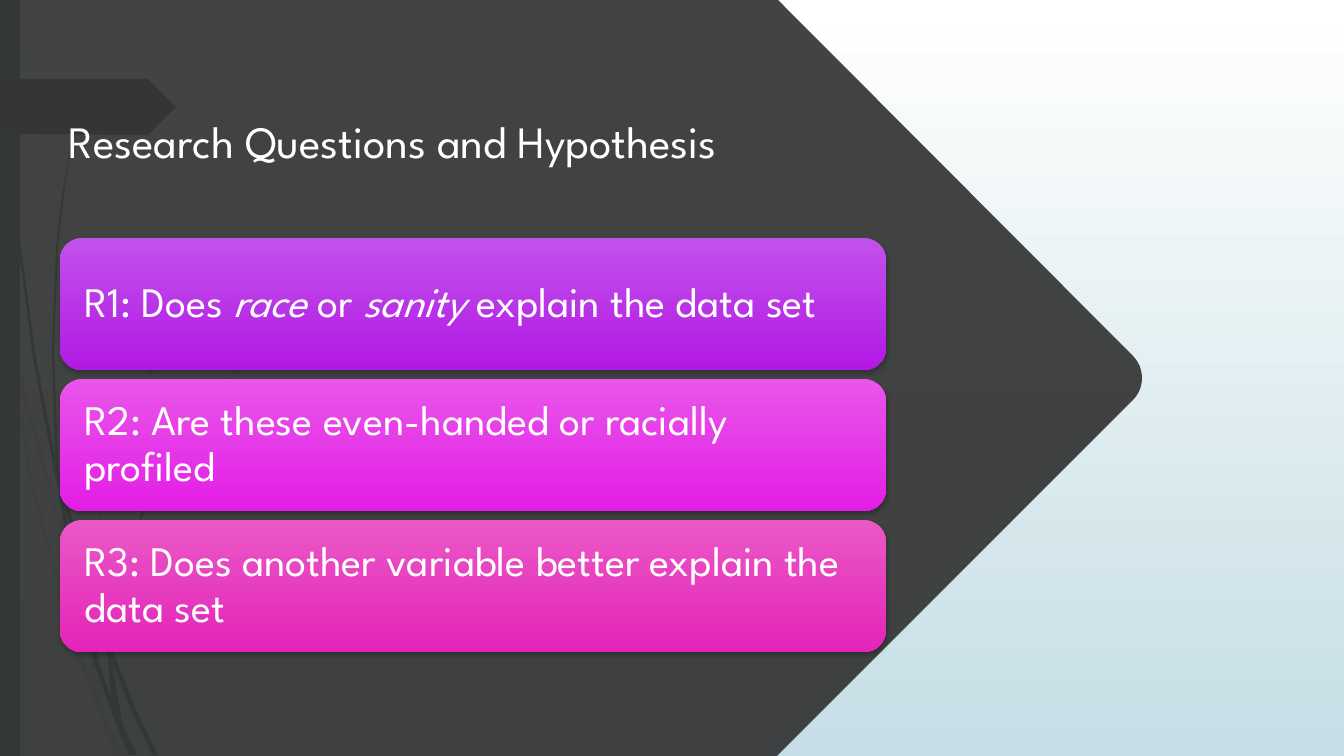
from pptx import Presentation
from pptx import util as u
from pptx.dml.color import RGBColor
from pptx.enum import shapes, text
from pptx.oxml import parse_xml
from pptx.oxml.ns import nsdecls, qn
from lxml import etree

PX = 914400 / 100.8
FONT = "League Spartan"
COLORS = {
    "white": "FFFFFF", "title": "FEFFFF", "mist": "C5DEE5",
    "stem": "2E5369", "panel": "353535", "black": "000000",
    "violet_top": "C052EB", "violet_end": "B219E4",
    "magenta_top": "E955EB", "magenta_end": "E31EE5",
    "pink_top": "EA58C6", "pink_end": "E424B9",
}

FAINT_STEMS = [
    [(11, 353), (9, 325), (0, 284), (0, 301), (10, 347)],
    [(58, 526), (85, 604), (86, 591), (62, 524), (14, 348), (17, 379)],
    [(93, 612), (89, 601), (89, 615), (124, 700), (151, 757), (156, 757), (128, 698)],
    [(120, 757), (125, 757), (106, 717)],
    [(94, 688), (71, 624), (31, 473), (17, 379), (11, 353), (28, 474), (66, 626),
     (93, 699), (102, 720), (100, 713)],
    [(85, 604), (88, 651), (94, 688), (97, 698), (106, 717), (104, 712), (92, 651),
     (89, 615), (89, 613)],
    [(89, 589), (111, 466), (161, 352), (231, 247), (270, 200), (292, 176), (314, 155),
     (314, 154), (291, 176), (270, 199), (230, 246), (159, 351), (108, 465), (86, 589),
     (86, 591), (89, 601)],
    [(102, 720), (115, 757), (120, 757)],
    [(89, 613), (89, 615), (89, 601), (86, 591), (85, 604)],
    [(97, 698), (94, 688), (100, 713), (102, 720), (120, 757), (106, 717)],
]
SOLID_STEMS = [
    [(7, 111), (17, 235), (33, 358), (56, 481), (57, 485), (55, 461), (55, 457),
     (36, 358), (19, 234), (8, 110), (5, 48), (4, 0), (3, 0), (4, 48)],
    [(89, 597), (107, 650), (107, 636), (94, 595), (60, 476), (65, 509)],
    [(114, 654), (111, 646), (112, 661), (133, 714), (153, 755), (158, 755), (137, 712)],
    [(111, 697), (99, 662), (73, 560), (65, 509), (57, 481), (69, 561), (94, 664),
     (112, 714), (118, 728), (117, 723)],
    [(60, 476), (58, 457), (54, 352), (58, 247), (64, 195), (71, 142), (62, 195),
     (56, 247), (52, 352), (55, 453)],
    [(134, 755), (137, 755), (123, 725)],
    [(57, 481), (65, 509), (60, 476), (55, 453), (55, 457)],
    [(112, 638), (126, 556), (159, 480), (207, 409), (233, 377), (247, 362), (263, 347),
     (262, 347), (247, 361), (233, 376), (206, 408), (157, 478), (123, 555), (107, 636),
     (111, 646)],
    [(118, 728), (128, 755), (132, 755)],
    [(107, 650), (111, 697), (117, 712), (123, 725), (122, 722), (112, 661), (110, 656)],
    [(107, 650), (110, 656), (112, 661), (111, 646), (107, 636), (107, 638)],
    [(117, 712), (111, 697), (117, 723), (118, 728), (131, 755), (134, 755), (123, 725)],
]
TAB = [(174, 109), (149, 134), (147, 135), (0, 134), (0, 79), (147, 79), (149, 80),
       (174, 105), (176, 107)]
CARDS = [
    ("violet", [("R1: Does ", False), ("race ", True), ("or ", False),
                ("sanity ", True), ("explain the data set", False)]),
    ("magenta", [("R2: Are these even-handed or racially profiled", False)]),
    ("pink", [("R3: Does another variable better explain the data set", False)]),
]


def emu(*sizes):
    return [u.Emu(round(size * PX)) for size in sizes]


def rgb(name):
    return RGBColor.from_string(COLORS[name])


def blend(fill, top, end):
    fill.gradient()
    fill.gradient_angle = 270
    for stop, name in zip(fill.gradient_stops, (top, end)):
        stop.color.rgb = rgb(name)


def paint(shape, color, alpha=100):
    shape.shadow.inherit = False
    shape.line.fill.background()
    shape.fill.solid()
    shape.fill.fore_color.rgb = rgb(color)
    if alpha < 100:
        node = shape.fill._xPr.find(qn("a:solidFill"))[0]
        etree.SubElement(node, qn("a:alpha"), val=str(alpha * 1000))


def outline(slide, points, color, alpha=100):
    start, *rest = [emu(*point) for point in points]
    pen = slide.shapes.build_freeform(*start)
    pen.add_line_segments(rest, close=True)
    paint(pen.convert_to_shape(), color, alpha)


def curve(ends, steps=12):
    for step in range(steps + 1):
        t = step / steps
        parts = ((1 - t) ** 3, 3 * t * (1 - t) ** 2, 3 * t * t * (1 - t), t ** 3)
        yield tuple(sum(p * v for p, v in zip(parts, axis)) for axis in zip(*ends))


def shade(shape):
    shape.shadow.inherit = False
    effects = shape._element.spPr.find(qn("a:effectLst"))
    effects.append(parse_xml(
        f'<a:outerShdw {nsdecls("a")} blurRad="38100" dist="25400" dir="5400000" rotWithShape="0">'
        f'<a:srgbClr val="{COLORS["black"]}"><a:alpha val="25000"/></a:srgbClr></a:outerShdw>'))


def write(shape, runs, size, color):
    frame = shape.text_frame
    frame.word_wrap = True
    frame.vertical_anchor = text.MSO_ANCHOR.MIDDLE
    line = frame.paragraphs[0]
    line.alignment = text.PP_ALIGN.LEFT
    line.font.name = FONT
    line.font.size = u.Pt(size)
    line.font.color.rgb = rgb(color)
    for words, slant in runs:
        run = line.add_run()
        run.text = words
        if slant:
            run.font.italic = True
    return frame


def card(slide, top, hue, runs):
    box = slide.shapes.add_shape(shapes.MSO_SHAPE.ROUNDED_RECTANGLE, *emu(60, top, 826, 132))
    box.line.fill.background()
    blend(box.fill, hue + "_top", hue + "_end")
    shade(box)
    frame = write(box, runs, 30, "white")
    frame.margin_left, frame.margin_right = emu(18, 16)
    frame.paragraphs[0].line_spacing = 0.9


def main():
    deck = Presentation()
    deck.slide_width, deck.slide_height = emu(1344, 756)
    slide = deck.slides.add_slide(deck.slide_layouts[6])
    blend(slide.background.fill, "white", "mist")
    for stem in FAINT_STEMS:
        outline(slide, stem, "stem", 20)
    for stem in SOLID_STEMS:
        outline(slide, stem, "stem")
    bar = slide.shapes.add_shape(shapes.MSO_SHAPE.RECTANGLE, *emu(0, 0, 20, 756))
    paint(bar, "stem")
    outline(slide, TAB, "panel")
    tip = curve([(1133, 400), (1145, 388), (1145, 368), (1133, 356)])
    outline(slide, [(0, 756), (777, 756), *tip, (778, 0), (0, 0)], "panel", 93)
    title = slide.shapes.add_textbox(*emu(59, 70, 1145, 141))
    write(title, [("Research Questions and Hypothesis", False)], 32, "title")
    for row, (hue, runs) in enumerate(CARDS):
        card(slide, 238 + 141 * row, hue, runs)
    deck.save("out.pptx")


main()
